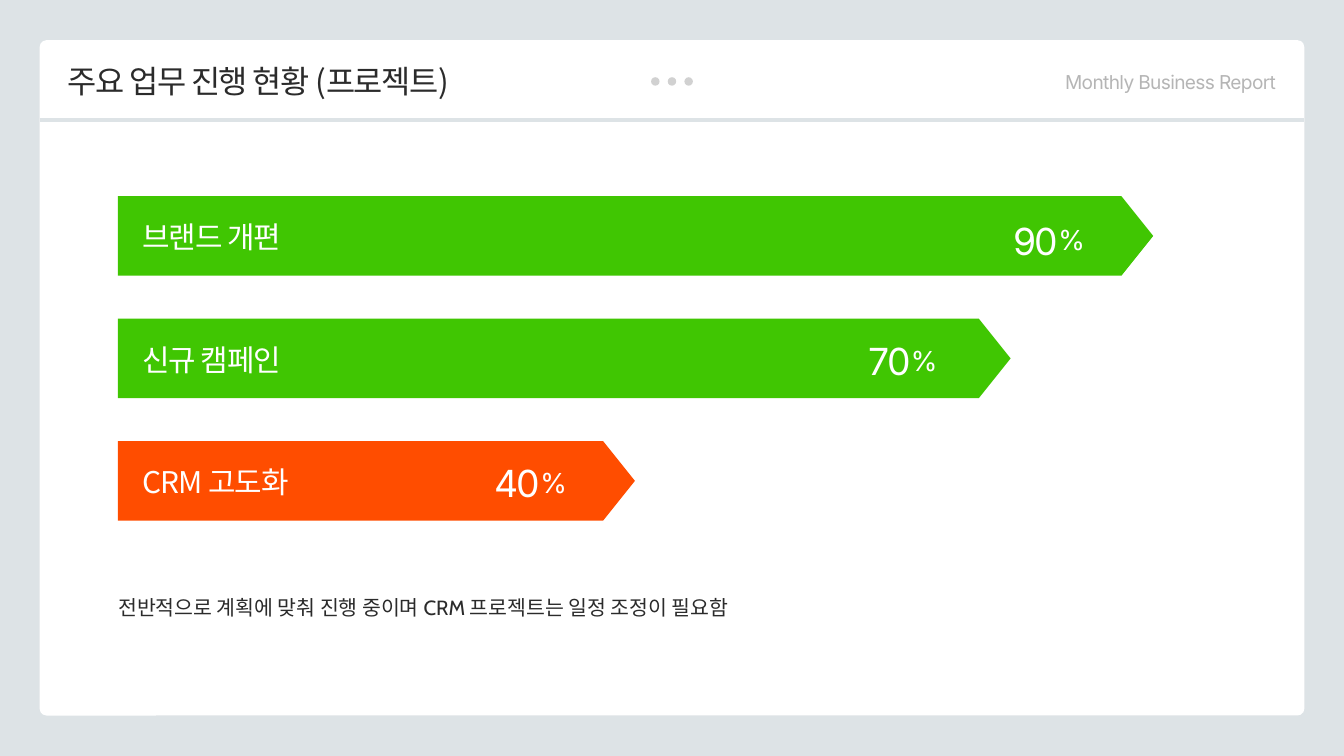
from dataclasses import dataclass

from lxml import etree
from pptx import Presentation
from pptx.dml.color import RGBColor
from pptx.enum.shapes import MSO_CONNECTOR, MSO_SHAPE
from pptx.enum.text import MSO_ANCHOR, MSO_AUTO_SIZE, PP_ALIGN
from pptx.oxml.ns import qn
from pptx.util import Cm, Pt

LEFT, CENTER, RIGHT = PP_ALIGN.LEFT, PP_ALIGN.CENTER, PP_ALIGN.RIGHT
TOP = MSO_ANCHOR.TOP
GROW = MSO_AUTO_SIZE.SHAPE_TO_FIT_TEXT
STRAIGHT = MSO_CONNECTOR.STRAIGHT
PANEL = MSO_SHAPE.ROUNDED_RECTANGLE
ARROW_BAR = MSO_SHAPE.PENTAGON
DOT = MSO_SHAPE.OVAL


@dataclass(frozen=True)
class TextStyle:
    """Type settings, with size, leading and tracking in points."""
    font: str
    size: float
    leading: float
    color: str
    tracking: float = 0
    align: PP_ALIGN = LEFT
    opacity: int = 100


class Theme:
    """Colours and type styles of the report."""
    backdrop = "DDE3E6"
    paper = "FFFFFF"
    ink = "2B2B2B"
    dot = "D1D1D1"
    on_track = "40C602"
    delayed = "FF4D00"
    title = TextStyle("Noto Sans CJK KR", 34, 47.6, ink, -1.4)
    report = TextStyle("Inter", 20.5, 28.7, ink, -0.7, RIGHT, 34)
    label = TextStyle("Noto Sans CJK KR", 32, 44.8, paper, -1.1)
    note = TextStyle("Cabin", 22, 30.8, ink)
    number = TextStyle("Inter", 40, 56, paper, -1.9, RIGHT)
    unit = TextStyle("Inter", 29.5, 41.3, paper, -1.1, CENTER)


@dataclass(frozen=True)
class Project:
    """One progress bar with its figure, lengths in centimetres."""
    name: str
    progress: str
    color: str
    tip: float
    unit_left: float
    number_top: float


PROJECTS = (
    Project("브랜드 개편", "90", Theme.on_track, 43.59, 40, 7.95),
    Project("신규 캠페인", "70", Theme.on_track, 38.2, 34.42, 12.5),
    Project("CRM 고도화", "40", Theme.delayed, 24, 20.42, 17.12),
)
BAR_LEFT, BAR_TOP, BAR_HEIGHT, BAR_PITCH = 4.46, 7.42, 3, 4.63
PANEL_LEFT, PANEL_RIGHT = 1.5, 49.3
NUMBER_WIDTH = 2.5


def apply_format(target, values):
    """Set each named attribute on the target."""
    for name, value in values.items():
        setattr(target, name, value)


def place(shape, left, top, width, height):
    """Position a shape by centimetres."""
    apply_format(shape, {"left": Cm(left), "top": Cm(top),
                         "width": Cm(width), "height": Cm(height)})


def write_text(shape, text, style):
    """Fill a text shape with one styled paragraph."""
    frame = shape.text_frame
    apply_format(frame, {"margin_left": 0, "margin_top": 0,
                         "margin_right": 0, "margin_bottom": 0,
                         "word_wrap": True, "auto_size": GROW,
                         "vertical_anchor": TOP})
    para = frame.paragraphs[0]
    apply_format(para, {"alignment": style.align, "space_before": Pt(0),
                        "line_spacing": Pt(style.leading)})
    span = para.add_run()
    span.text = text
    apply_format(span.font, {"name": style.font, "size": Pt(style.size)})
    span.font.color.rgb = RGBColor.from_string(style.color)
    properties = span._r.get_or_add_rPr()
    properties.set("spc", str(round(style.tracking * 100)))
    latin = properties.find(qn("a:latin"))
    latin.addnext(latin.makeelement(qn("a:ea"), {"typeface": style.font}))
    if style.opacity < 100:
        color = properties.find(".//" + qn("a:srgbClr"))
        etree.SubElement(color, qn("a:alpha"), val=str(style.opacity * 1000))


def add_text(page, text, style, left, top, width, height):
    """Add a text box."""
    box = page.shapes.add_textbox(Cm(left), Cm(top), Cm(width), Cm(height))
    write_text(box, text, style)


def fill_placeholder(page, holder, text, style, left, top, width, height):
    """Bring a template placeholder to the front and fill it without a bullet."""
    page.shapes.element.append(holder.element)
    place(holder, left, top, width, height)
    properties = holder.text_frame.paragraphs[0]._p.get_or_add_pPr()
    for name in ("marL", "indent"):
        properties.set(name, "0")
    etree.SubElement(properties, qn("a:buNone"))
    write_text(holder, text, style)


def add_solid(page, kind, color, left, top, width, height, corner=None):
    """Add a filled preset shape without outline or shadow."""
    shape = page.shapes.add_shape(kind, Cm(left), Cm(top), Cm(width), Cm(height))
    shape.shadow.inherit = False
    shape.fill.solid()
    shape.fill.fore_color.rgb = RGBColor.from_string(color)
    shape.line.fill.background()
    if corner is not None:
        shape.adjustments[0] = corner


def add_rule(page, top):
    """Draw the line under the panel header."""
    rule = page.shapes.add_connector(STRAIGHT, Cm(PANEL_LEFT), Cm(top),
                                     Cm(PANEL_RIGHT), Cm(top))
    rule.line.width = Pt(4)
    rule.line.color.rgb = RGBColor.from_string(Theme.backdrop)
    etree.SubElement(rule.element.spPr, qn("a:effectLst"))


def add_project(page, project, top):
    """Draw a project's arrow bar, name and percentage."""
    add_solid(page, ARROW_BAR, project.color, BAR_LEFT, top,
              project.tip - BAR_LEFT, BAR_HEIGHT, 0.4)
    add_text(page, project.name, Theme.label, 5.38, top + 0.63, 5.94, 1.55)
    add_text(page, project.progress, Theme.number,
             project.unit_left - NUMBER_WIDTH, project.number_top,
             NUMBER_WIDTH, 1.88)
    add_text(page, "%", Theme.unit, project.unit_left,
             project.number_top + 0.28, 0.97, 1.4)


def main():
    """Build and save the monthly report page."""
    deck = Presentation()
    apply_format(deck, {"slide_width": Cm(50.8), "slide_height": Cm(28.58)})
    page = deck.slides.add_slide(deck.slide_layouts[1])
    page.background.fill.solid()
    page.background.fill.fore_color.rgb = RGBColor.from_string(Theme.backdrop)

    add_solid(page, PANEL, Theme.paper, PANEL_LEFT, 1.52,
              PANEL_RIGHT - PANEL_LEFT, 25.53, 0.01)
    add_rule(page, 4.55)
    fill_placeholder(page, page.shapes.title, "주요 업무 진행 현황 (프로젝트)",
                     Theme.title, 2.57, 2.11, 17.68, 1.65)
    add_text(page, "Monthly Business Report", Theme.report, 38.23, 2.51, 10, 0.99)
    for index in range(3):
        add_solid(page, DOT, Theme.dot, 24.61 + index * 0.63, 2.92, 0.32, 0.32)
    for index, project in enumerate(PROJECTS):
        add_project(page, project, BAR_TOP + index * BAR_PITCH)
    fill_placeholder(page, page.placeholders[1],
                     "전반적으로 계획에 맞춰 진행 중이며 CRM 프로젝트는 일정 조정이 필요함",
                     Theme.note, 4.47, 22.33, 32.56, 1.07)
    deck.save("out.pptx")


if __name__ == "__main__":
    main()
